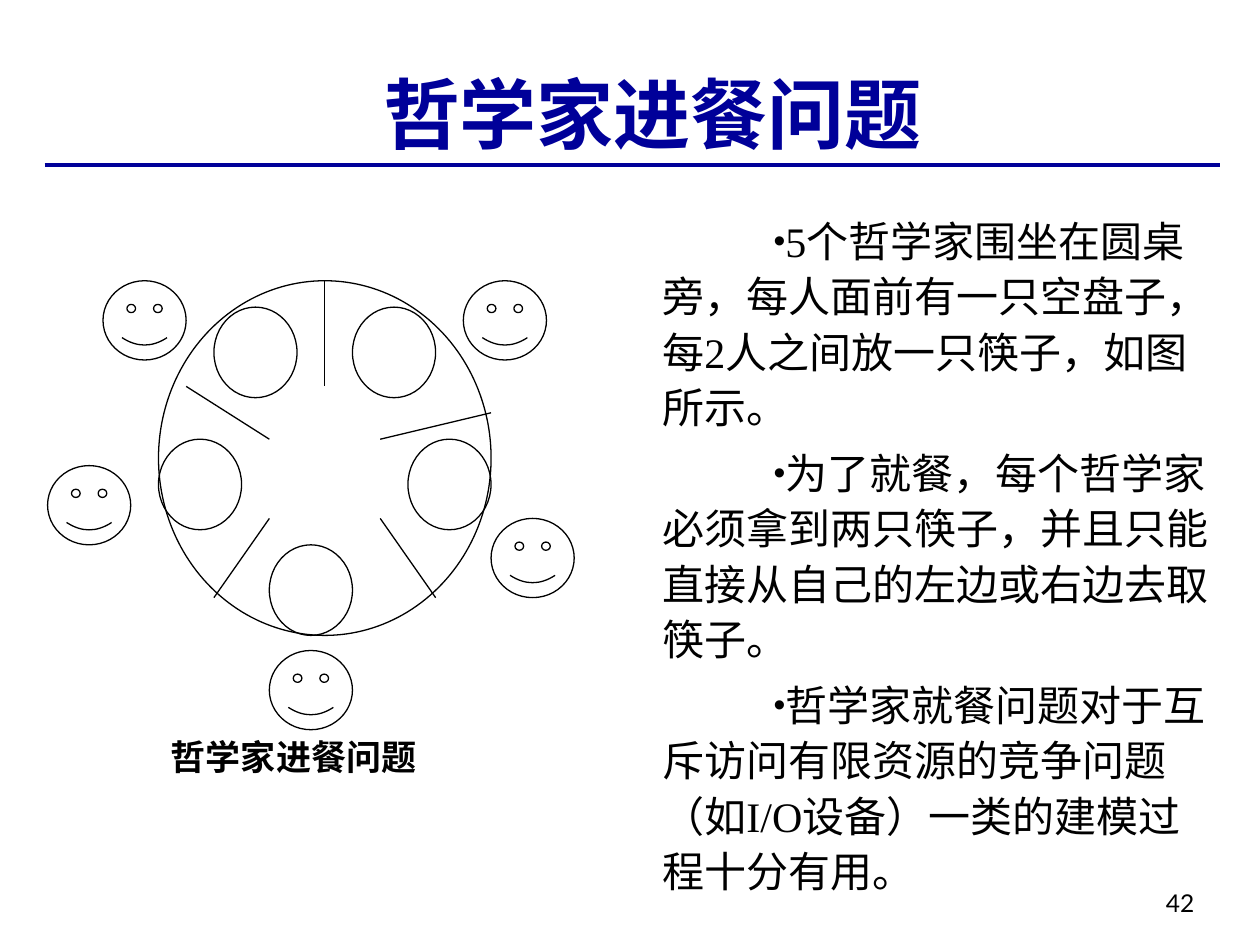
from lxml import etree
from pptx import Presentation
from pptx.dml.color import RGBColor
from pptx.enum.shapes import MSO_CONNECTOR, MSO_SHAPE
from pptx.enum.text import MSO_ANCHOR, MSO_AUTO_SIZE, PP_ALIGN
from pptx.oxml.ns import qn
from pptx.util import Cm, Pt

STRAIGHT = MSO_CONNECTOR.STRAIGHT
OVAL, SMILEY = MSO_SHAPE.OVAL, MSO_SHAPE.SMILEY_FACE
TOP, BOTTOM = MSO_ANCHOR.TOP, MSO_ANCHOR.BOTTOM
LEFT, CENTER, RIGHT, JUSTIFY = PP_ALIGN.LEFT, PP_ALIGN.CENTER, PP_ALIGN.RIGHT, PP_ALIGN.JUSTIFY

TITLE = "哲学家进餐问题 "
POINTS = [
    "5个哲学家围坐在圆桌旁，每人面前有一只空盘子，每2人之间放一只筷子，如图所示。",
    "为了就餐，每个哲学家必须拿到两只筷子，并且只能直接从自己的左边或右边去取筷子。",
    "哲学家就餐问题对于互斥访问有限资源的竞争问题（如I/O设备）一类的建模过程十分有用。",
]
CAPTION = "哲学家进餐问题"
PAGE_NUMBER = "42"

THEME = {
    "navy": "000099", "black": "000000",
    "chinese": "Noto Sans CJK SC", "serif": "Times New Roman", "sans": "Lato",
    "title": 44, "body": 24, "caption": 20, "number": 14,
    "rule": 2.5, "outline": 0.75,
}

ORIGIN = (0.96, 5.66)
STEP = (8.94 / 16, 9.05 / 17)
TABLE = (4, 0, 12, 13.43)
PLATE_SIZE, PLATES = (3, 3.43), [(6, 1), (4, 6), (11, 1), (13, 6), (8, 10)]
CHOPSTICKS = [(10, 0, 10, 4), (12, 6, 16, 5), (8, 9, 6, 12), (5, 4, 8, 6), (12, 9, 14, 12)]
FACE_SIZE, FACES = (3, 3), [(15, 0), (16, 9), (2, 0), (0, 7), (8, 14)]
CAPTION_BOX = (4, 17, 14, 3)


def grid_point(column, row):
    return Cm(ORIGIN[0] + column * STEP[0]), Cm(ORIGIN[1] + row * STEP[1])


def grid_box(column, row, columns, rows):
    return *grid_point(column, row), Cm(columns * STEP[0]), Cm(rows * STEP[1])


def place(shape, left, top, width, height):
    shape.left, shape.top, shape.width, shape.height = Cm(left), Cm(top), Cm(width), Cm(height)


def add_bullet(paragraph, margin, indent):
    properties = paragraph._p.get_or_add_pPr()
    properties.set("marL", str(Cm(margin)))
    properties.set("indent", str(Cm(indent)))
    color = etree.SubElement(properties, qn("a:buClr"))
    etree.SubElement(color, qn("a:srgbClr"), val=THEME["black"])
    etree.SubElement(properties, qn("a:buSzPct"), val="80000")
    etree.SubElement(properties, qn("a:buFont"), typeface="Arial")
    etree.SubElement(properties, qn("a:buChar"), char="•")


def write(shape, *texts, size, font="chinese", color="black", bold=False,
          align=LEFT, anchor=TOP, spacing=1, before=0, bullet=None):
    frame = shape.text_frame
    frame.word_wrap = True
    frame.auto_size = MSO_AUTO_SIZE.NONE
    frame.vertical_anchor = anchor
    for index, text in enumerate(texts):
        paragraph = frame.add_paragraph() if index else frame.paragraphs[0]
        paragraph.alignment = align
        paragraph.line_spacing = spacing
        paragraph.space_before = Pt(before)
        if bullet:
            add_bullet(paragraph, *bullet)
        run = paragraph.add_run()
        run.text = text
        run.font.size = Pt(THEME[size])
        run.font.bold = bold
        run.font.name = THEME[font]
        run.font.color.rgb = RGBColor.from_string(THEME[color])
        latin = run._r.rPr.find(qn("a:latin"))
        latin.addnext(etree.Element(qn("a:ea"), typeface=THEME["chinese"]))


def set_line(shape, color="black", width="outline"):
    shape.line.color.rgb = RGBColor.from_string(THEME[color])
    shape.line.width = Pt(THEME[width])


def add_line(shapes, start, end, **style):
    connector = shapes.add_connector(STRAIGHT, *start, *end)
    set_line(connector, **style)
    etree.SubElement(connector._element.spPr, qn("a:effectLst"))


def add_outline(shapes, kind, box):
    shape = shapes.add_shape(kind, *grid_box(*box))
    shape.shadow.inherit = False
    shape.fill.background()
    set_line(shape)


def draw_dining_table(slide):
    shapes = slide.shapes.add_group_shape().shapes
    add_outline(shapes, OVAL, TABLE)
    for plate in PLATES:
        add_outline(shapes, OVAL, plate + PLATE_SIZE)
    for chopstick in CHOPSTICKS:
        add_line(shapes, grid_point(*chopstick[:2]), grid_point(*chopstick[2:]))
    for face in FACES:
        add_outline(shapes, SMILEY, face + FACE_SIZE)
    caption = shapes.add_textbox(*grid_box(*CAPTION_BOX))
    write(caption, CAPTION, size="caption", bold=True, align=JUSTIFY)


def main():
    presentation = Presentation()
    presentation.slide_width, presentation.slide_height = Cm(25.4), Cm(19.05)
    slide = presentation.slides.add_slide(presentation.slide_layouts[1])
    add_line(slide.shapes, (Cm(0.9), Cm(3.33)), (Cm(24.6), Cm(3.33)), color="navy", width="rule")

    title, body = slide.shapes.title, slide.placeholders[1]
    place(title, 1.7, 0, 23.27, 3.33)
    write(title, TITLE, size="title", color="navy", bold=True, align=CENTER, anchor=BOTTOM)
    place(body, 11.89, 4.11, 12.8, 13.41)
    write(body, *POINTS, size="body", font="serif", spacing=1.1, before=6, bullet=(1.21, 2.24))

    draw_dining_table(slide)
    number = slide.shapes.add_textbox(Cm(19.05), Cm(17.35), Cm(5.28), Cm(1.27))
    write(number, PAGE_NUMBER, size="number", font="sans", align=RIGHT, anchor=BOTTOM)
    presentation.save("out.pptx")


if __name__ == "__main__":
    main()
